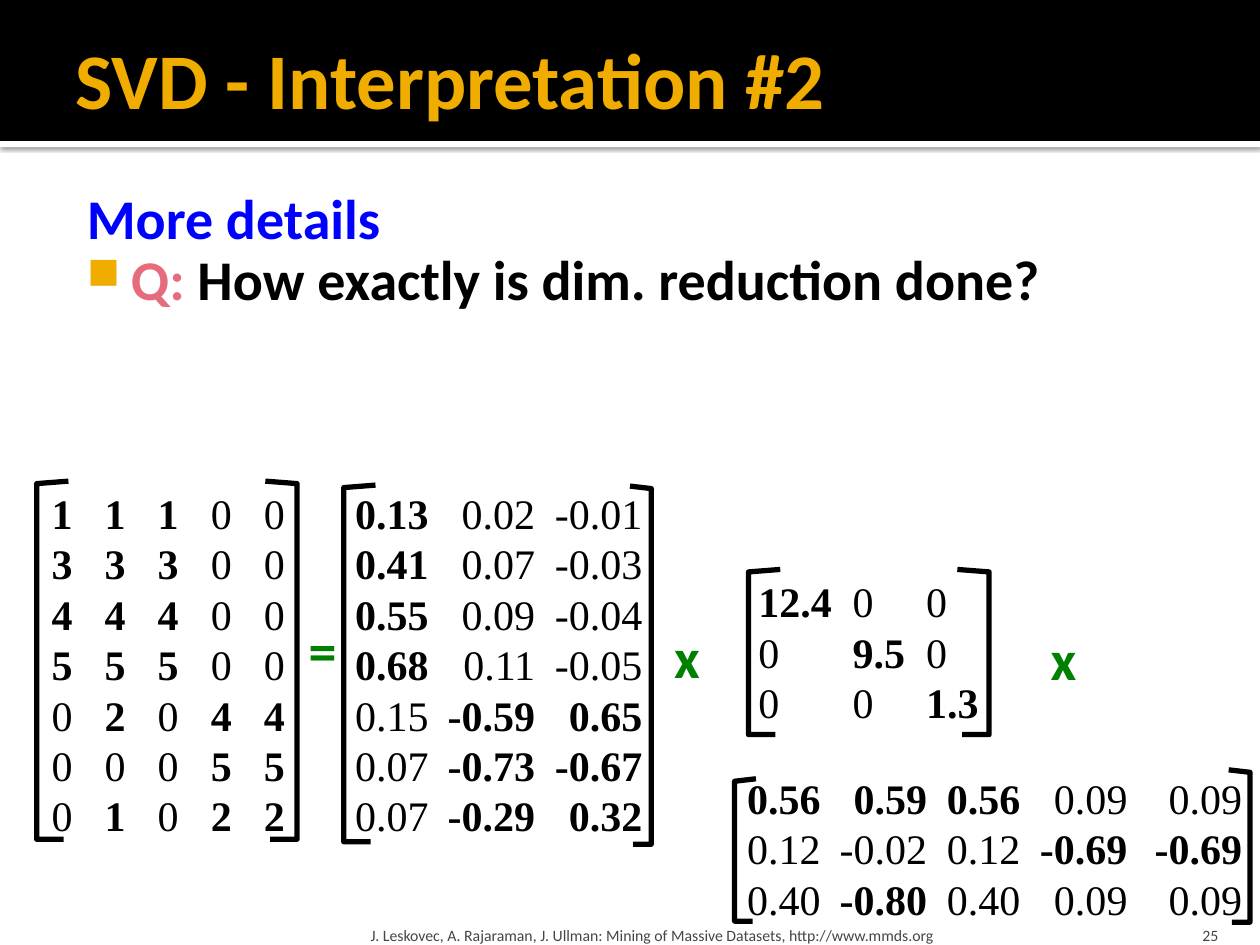
from lxml import etree
from pptx import Presentation, util as u
from pptx.dml.color import RGBColor
from pptx.enum import shapes, text
from pptx.oxml import ns

Cm, Pt = u.Cm, u.Pt
SANS, SERIF = "Calibri", "Times New Roman"
BLACK, WHITE, GOLD, BLUE = "000000", "FFFFFF", "F0AD00", "0000FF"
PINK, GREEN, GREY = "E66C7D", "008000", "454545"

MATRICES = [
    {"box": (0.64, 9.7, 5.5, 7.44), "margin": 0.4,
     "tabs": [("l", 1.07 * column) for column in range(1, 5)],
     "rows": ["*1 *1 *1 0 0", "*3 *3 *3 0 0", "*4 *4 *4 0 0", "*5 *5 *5 0 0",
              "0 *2 0 *4 *4", "0 0 0 *5 *5", "0 *1 0 *2 *2"]},
    {"box": (6.58, 9.7, 7, 7.44), "margin": 0.58,
     "tabs": [("r", 3.63), ("r", 5.79)],
     "rows": ["*0.13 0.02 -0.01", "*0.41 0.07 -0.03", "*0.55 0.09 -0.04",
              "*0.68 0.11 -0.05", "0.15 *-0.59 *0.65",
              "0.07 *-0.73 *-0.67", "0.07 *-0.29 *0.32"]},
    {"box": (15.04, 11.48, 5.5, 3.33), "margin": 0.25,
     "tabs": [("l", 1.9), ("l", 3.38)],
     "rows": ["*12.4 0 0", "0 *9.5 0", "0 0 *1.3"]},
    {"box": (14.81, 15.44, 10.59, 3.33), "margin": 0.25,
     "tabs": [("r", 3.63), ("r", 5.51), ("r", 7.67), ("r", 9.98)],
     "rows": ["*0.56 *0.59 *0.56 0.09 0.09", "0.12 -0.02 0.12 *-0.69 *-0.69",
              "0.40 *-0.80 0.40 0.09 0.09"]},
]
BRACKETS = [
    (0.74, 9.7, 16.92, 0.64), (5.99, 9.7, 16.92, -0.64),
    (6.93, 9.78, 16.97, 0.64), (13.13, 9.8, 17.02, -0.43),
    (15.09, 11.48, 14.81, 0.64), (19.94, 11.48, 14.81, -0.64),
    (14.81, 15.7, 18.57, 0.43), (25.2, 15.52, 18.59, -0.43),
]
OPERATORS = [("=", 5.97, 12.27), ("x", 13.34, 12.42), ("x", 20.93, 12.45)]


def color(value):
    """Turn a hex string into a colour."""
    return RGBColor.from_string(value)


def add_xml(parent, tag, **attributes):
    """Append a DrawingML element to a parent."""
    return etree.SubElement(parent, ns.qn(tag), attributes)


def format_run(run, size, value, font=SANS, bold=False):
    """Set the font of a run."""
    run.font.name = font
    run.font.size = Pt(size)
    run.font.bold = bold
    run.font.color.rgb = color(value)


def set_frame(frame, margins, anchor=text.MSO_ANCHOR.TOP, wrap=True):
    """Set margins (left, top, right, bottom), anchor and wrapping."""
    frame.auto_size = text.MSO_AUTO_SIZE.NONE
    frame.word_wrap = wrap
    frame.vertical_anchor = anchor
    (frame.margin_left, frame.margin_top,
     frame.margin_right, frame.margin_bottom) = map(Cm, margins)


def add_text_box(slide, box, margins, **options):
    """Add a text box and return its text frame."""
    frame = slide.shapes.add_textbox(*map(Cm, box)).text_frame
    set_frame(frame, margins, **options)
    return frame


def add_label(slide, words, box, size, value, margins, bold=False,
              alignment=text.PP_ALIGN.LEFT, **options):
    """Add a one-line text box."""
    frame = add_text_box(slide, box, margins, **options)
    frame.text = words
    frame.paragraphs[0].alignment = alignment
    format_run(frame.paragraphs[0].runs[0], size, value, bold=bold)


def add_band(slide, top, height, value):
    """Add a full-width band."""
    band = slide.shapes.add_shape(
        shapes.MSO_SHAPE.RECTANGLE, 0, Cm(top), Cm(25.4), Cm(height))
    band.shadow.inherit = False
    band.fill.solid()
    band.fill.fore_color.rgb = color(value)
    band.line.fill.background()
    return band


def add_header(slide):
    """Add the black header with its shadowed white edge."""
    edge = add_band(slide, 2.84, 0.13, WHITE)
    effects = edge._element.spPr.find(ns.qn("a:effectLst"))
    shadow = add_xml(effects, "a:outerShdw", blurRad=str(Pt(2.5)),
                     dist=str(Pt(0.8)), dir="5400000", rotWithShape="0")
    add_xml(add_xml(shadow, "a:srgbClr", val=BLACK), "a:alpha", val="60000")
    add_band(slide, 0, 2.84, BLACK)


def format_title(slide, words):
    """Fill and place the title."""
    title = slide.shapes.title
    title.left, title.top, title.width, title.height = map(
        Cm, (1.27, 0.2, 22.86, 2.74))
    set_frame(title.text_frame, (0.25, 0.13, 0.13, 0.13),
              text.MSO_ANCHOR.MIDDLE)
    title.text_frame.text = words
    paragraph = title.text_frame.paragraphs[0]
    paragraph.alignment = text.PP_ALIGN.LEFT
    format_run(paragraph.runs[0], 45, GOLD, bold=True)
    slide.shapes._spTree.append(title._element)


def add_body(slide):
    """Add the heading and the bulleted question."""
    frame = add_text_box(slide, (1.27, 3.61, 22.86, 3), (0.15, 0.25, 0.25, 0.13))
    lines = [[("More details", BLUE)],
             [("Q:", PINK), (" How exactly is dim. reduction done?", BLACK)]]
    for index, pieces in enumerate(lines):
        paragraph = frame.add_paragraph() if index else frame.paragraphs[0]
        paragraph.line_spacing = 0.9
        properties = paragraph._p.get_or_add_pPr()
        properties.set("marL", str(Cm(1.22)))
        properties.set("indent", str(Cm(-0.89)))
        for words, value in pieces:
            run = paragraph.add_run()
            run.text = words
            format_run(run, 32, value, bold=True)
    add_xml(add_xml(properties, "a:buClr"), "a:srgbClr", val=GOLD)
    add_xml(properties, "a:buSzPct", val="80000")
    add_xml(properties, "a:buChar", char="■")


def add_matrix(slide, box, margin, tabs, rows):
    """Add a matrix with tabbed columns; a star marks a bold entry."""
    frame = add_text_box(slide, box, (margin, 0.13, 0, 0.13))
    for index, row in enumerate(rows):
        paragraph = frame.add_paragraph() if index else frame.paragraphs[0]
        stops = add_xml(paragraph._p.get_or_add_pPr(), "a:tabLst")
        for alignment, position in tabs:
            add_xml(stops, "a:tab", pos=str(Cm(position)), algn=alignment)
        for column, entry in enumerate(row.split()):
            run = paragraph.add_run()
            run.text = ("\t" if column else "") + entry.lstrip("*")
            format_run(run, 24, BLACK, SERIF, entry.startswith("*"))


def add_bracket(slide, edge, top, bottom, arm):
    """Add a bracket; a negative arm opens to the left."""
    builder = slide.shapes.build_freeform(Cm(edge + arm), Cm(top))
    corners = [(edge, top + 0.05), (edge, bottom), (edge + 0.85 * arm, bottom)]
    builder.add_line_segments([(Cm(x), Cm(y)) for x, y in corners], close=False)
    bracket = builder.convert_to_shape()
    bracket.shadow.inherit = False
    bracket.fill.background()
    bracket.line.color.rgb = color(BLACK)
    bracket.line.width = Pt(3)


def main():
    """Build the slide."""
    presentation = Presentation()
    presentation.slide_width, presentation.slide_height = Cm(25.4), Cm(19.05)
    slide = presentation.slides.add_slide(presentation.slide_layouts[5])
    add_header(slide)
    format_title(slide, "SVD - Interpretation #2")
    add_body(slide)
    add_label(slide, "J. Leskovec, A. Rajaraman, J. Ullman: Mining of Massive "
              "Datasets, http://www.mmds.org", (7.34, 18.29, 15.29, 0.76), 9,
              GREY, (0.13, 0.13, 0.13, 0), anchor=text.MSO_ANCHOR.BOTTOM)
    add_label(slide, "25", (22.78, 18.29, 2.03, 0.76), 9, GREY,
              (0.25, 0.13, 0.25, 0), alignment=text.PP_ALIGN.RIGHT,
              anchor=text.MSO_ANCHOR.BOTTOM)
    for bracket in BRACKETS:
        add_bracket(slide, *bracket)
    for sign, left, top in OPERATORS:
        add_label(slide, sign, (left, top, 1.12, 1.63), 32, GREEN,
                  (0.25, 0.13, 0.25, 0.13), bold=True, wrap=False,
                  anchor=text.MSO_ANCHOR.MIDDLE)
    for matrix in MATRICES:
        add_matrix(slide, **matrix)
    presentation.save("out.pptx")


if __name__ == "__main__":
    main()
